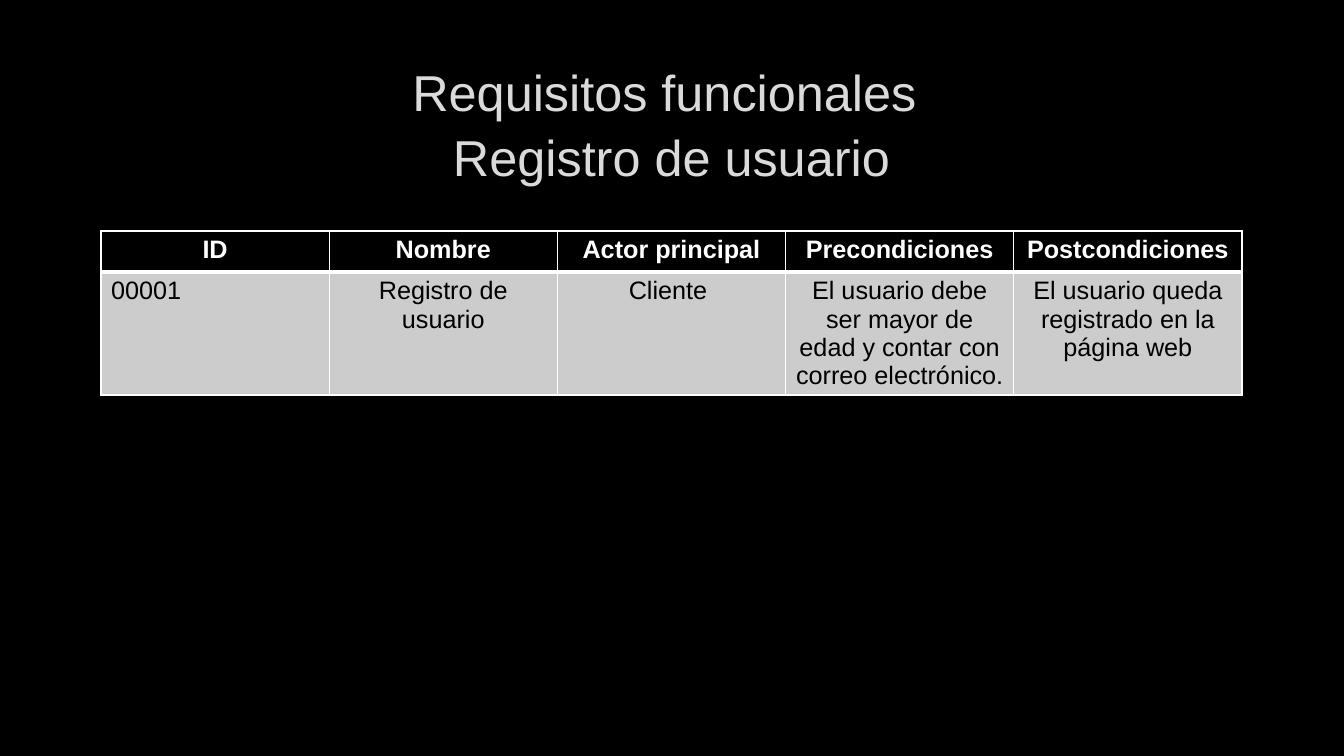
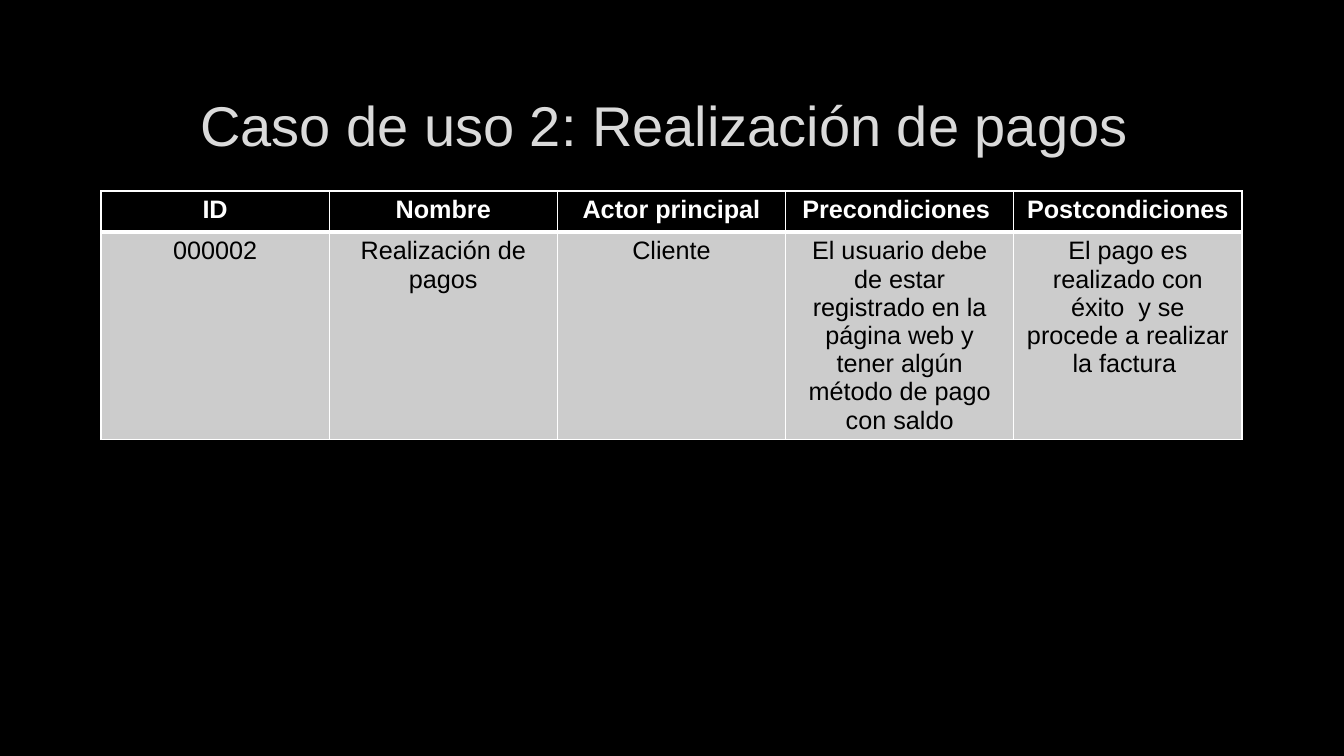
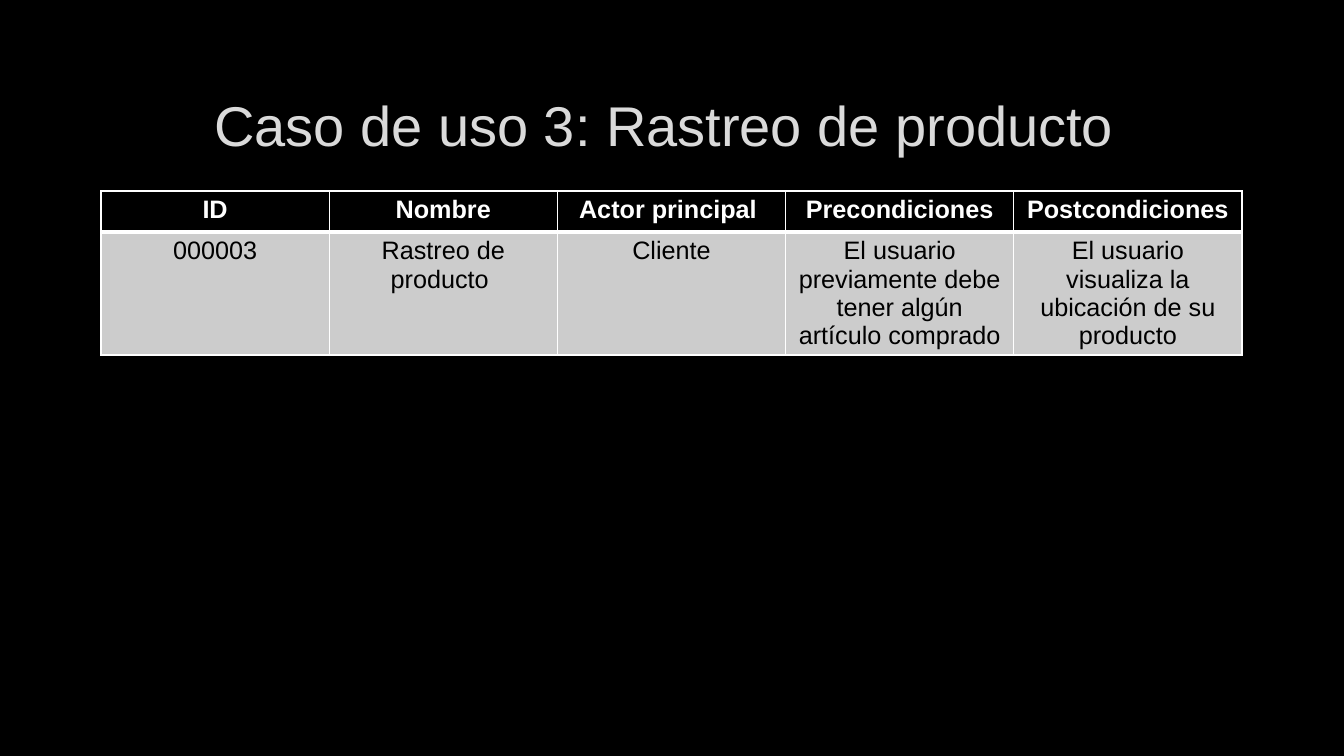
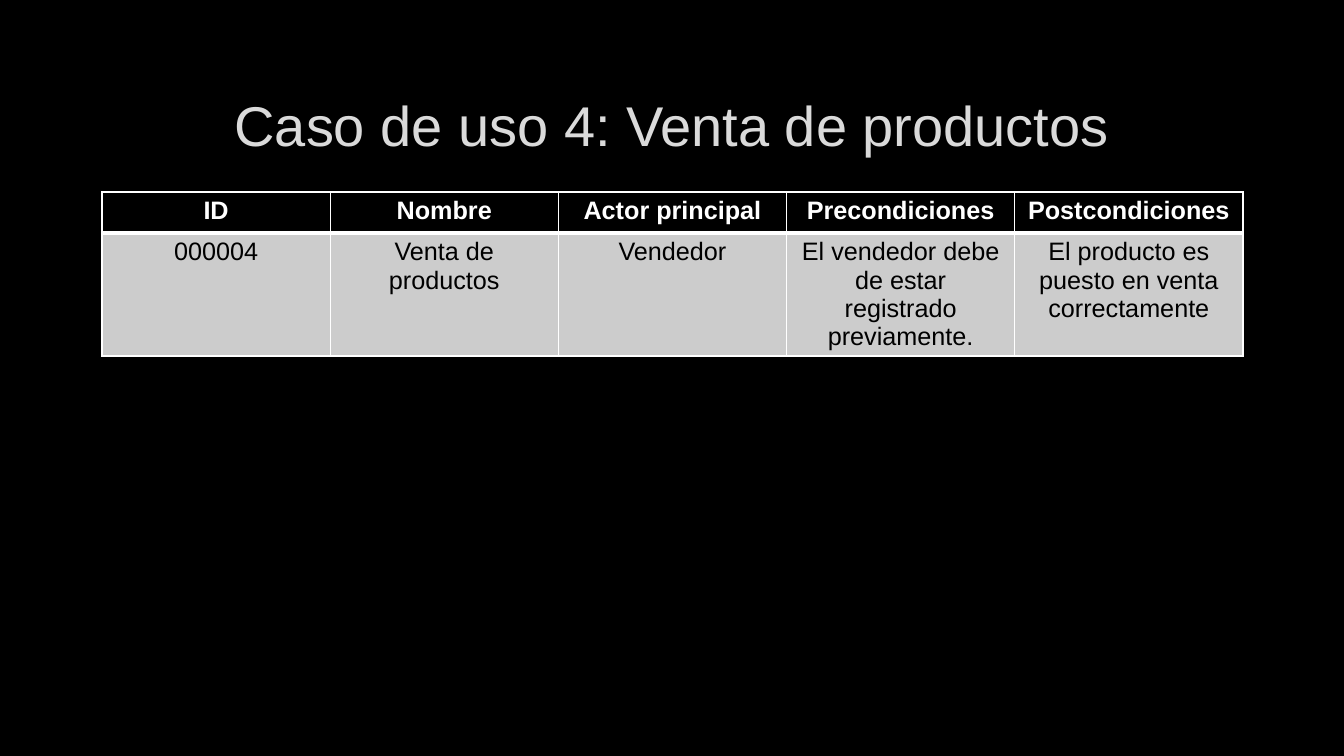
from lxml.etree import SubElement
from pptx import Presentation
from pptx.dml.color import RGBColor
from pptx.enum.text import MSO_ANCHOR, MSO_AUTO_SIZE, PP_ALIGN
from pptx.oxml import parse_xml
from pptx.oxml.ns import nsdecls, qn
from pptx.util import Pt

SLIDE_W, SLIDE_H = 1344, 756
EMU_PER_PX = 12192000 / SLIDE_W
FONT = "Arial"
COLORS = {
    "background": "000000",
    "title": "DADADA",
    "outline": "404040",
    "header": "000000",
    "header text": "FFFFFF",
    "body": "CCCCCC",
    "body text": "000000",
    "border": "FFFFFF",
}
TITLE_BOX = (101, 68, 1141, 107)
TABLE_W, ROW_H = 1141, 41
THIN, THICK = 1, 3

USE_CASES = [
    {
        "title": ["Requisitos funcionales ", "Registro de usuario"],
        "title size": 36,
        "table at": (101, 231),
        "table height": 172,
        "id align": PP_ALIGN.LEFT,
        "header": ["ID", "Nombre", "Actor principal", "Precondiciones", "Postcondiciones"],
        "body": ["00001", "Registro de usuario", "Cliente ",
                 "El usuario debe ser mayor de edad y contar con correo electrónico. ",
                 "El usuario queda registrado en la página web"],
    },
    {
        "title": ["Caso de uso 2: Realización de pagos "],
        "title size": 40,
        "table at": (101, 191),
        "table height": 203,
        "id align": PP_ALIGN.CENTER,
        "header": ["ID", "Nombre", "Actor principal", "Precondiciones ", "Postcondiciones"],
        "body": ["000002", "Realización de pagos", "Cliente",
                 "El usuario debe de estar registrado en la página web y tener algún "
                 "método de pago con saldo",
                 "El pago es realizado con éxito  y se procede a realizar la factura "],
    },
    {
        "title": ["Caso de uso 3: Rastreo de producto "],
        "title size": 40,
        "table at": (101, 191),
        "table height": 172,
        "id align": PP_ALIGN.CENTER,
        "header": ["ID", "Nombre", "Actor principal ", "Precondiciones", "Postcondiciones"],
        "body": ["000003", "Rastreo de producto ", "Cliente",
                 "El usuario previamente debe tener algún artículo comprado ",
                 "El usuario visualiza la ubicación de su producto"],
    },
    {
        "title": ["Caso de uso 4: Venta de productos"],
        "title size": 40,
        "table at": (102, 192),
        "table height": 142,
        "id align": PP_ALIGN.CENTER,
        "header": ["ID", "Nombre", "Actor principal", "Precondiciones", "Postcondiciones"],
        "body": ["000004", "Venta de productos", "Vendedor",
                 "El vendedor debe de estar registrado previamente.",
                 "El producto es puesto en venta correctamente"],
    },
]


def px(length):
    return round(length * EMU_PER_PX)


def color(name):
    return RGBColor.from_string(COLORS[name])


def format_para(para, size, color_name, bold=False, align=PP_ALIGN.CENTER):
    para.alignment = align
    font = para.font
    font.name, font.size, font.bold = FONT, Pt(size), bold
    font.color.rgb = color(color_name)


def outline_text(para):
    """Give the letters a faint outline, almost fully transparent."""
    line = parse_xml(
        f'<a:ln {nsdecls("a")} w="{Pt(0.75)}"><a:solidFill>'
        f'<a:srgbClr val="{COLORS["outline"]}"><a:alpha val="10000"/></a:srgbClr>'
        f'</a:solidFill><a:prstDash val="solid"/></a:ln>')
    para._p.pPr.find(qn("a:defRPr")).insert(0, line)


def set_borders(cell, top, bottom):
    props = cell._tc.get_or_add_tcPr()
    widths = {"lnL": THIN, "lnR": THIN, "lnT": top, "lnB": bottom}
    for index, (side, width) in enumerate(widths.items()):
        line = props.makeelement(qn(f"a:{side}"), {"w": str(Pt(width))})
        fill = SubElement(line, qn("a:solidFill"))
        SubElement(fill, qn("a:srgbClr"), val=COLORS["border"])
        props.insert(index, line)


def fill_title(title, lines, size):
    title.left, title.top, title.width, title.height = map(px, TITLE_BOX)
    frame = title.text_frame
    frame.auto_size = MSO_AUTO_SIZE.NONE
    frame.vertical_anchor = MSO_ANCHOR.MIDDLE
    para = frame.paragraphs[0]
    for number, text in enumerate(lines):
        if number:
            para.add_line_break()
        para.add_run().text = text
    para.line_spacing = 1.08
    format_para(para, size, "title")
    outline_text(para)


def add_use_case_table(page, case):
    rows = [case["header"], case["body"]]
    left, top = case["table at"]
    columns = len(case["header"])
    holder = page.shapes.add_table(
        len(rows), columns, px(left), px(top), px(TABLE_W), px(case["table height"]))
    table = holder.table
    for column in table.columns:
        column.width = px(TABLE_W / columns)
    for row_number, texts in enumerate(rows):
        table.rows[row_number].height = px(ROW_H)
        is_header = row_number == 0
        style = "header" if is_header else "body"
        for column_number, text in enumerate(texts):
            cell = table.cell(row_number, column_number)
            cell.text = text
            cell.fill.solid()
            cell.fill.fore_color.rgb = color(style)
            is_id = not is_header and column_number == 0
            format_para(cell.text_frame.paragraphs[0], 18, f"{style} text", is_header,
                        case["id align"] if is_id else PP_ALIGN.CENTER)
            set_borders(cell, *((THIN, THICK) if is_header else (THICK, THIN)))
    holder.height = px(case["table height"])


def main():
    deck = Presentation()
    deck.slide_width, deck.slide_height = px(SLIDE_W), px(SLIDE_H)
    background = deck.slide_master.background.fill
    background.solid()
    background.fore_color.rgb = color("background")
    title_only = deck.slide_layouts[5]
    for case in USE_CASES:
        page = deck.slides.add_slide(title_only)
        fill_title(page.shapes.title, case["title"], case["title size"])
        add_use_case_table(page, case)
    deck.save("out.pptx")


if __name__ == "__main__":
    main()
